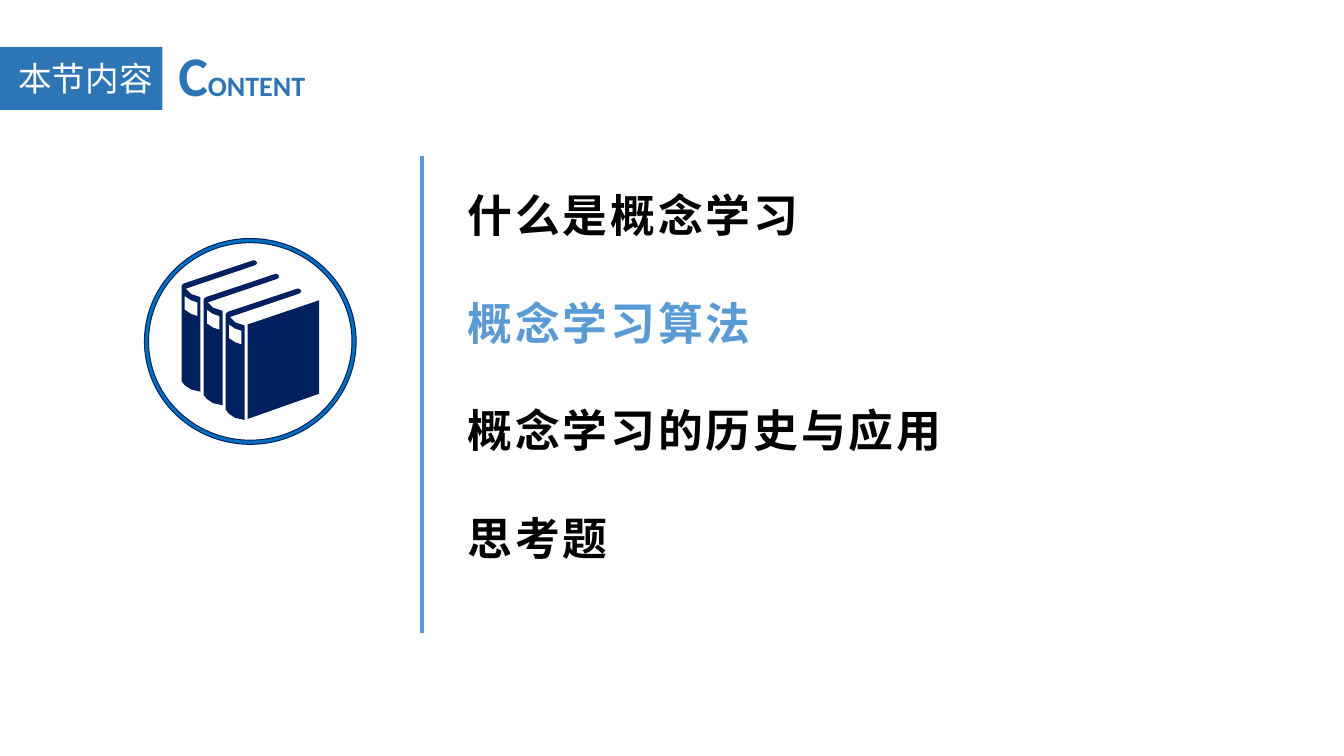
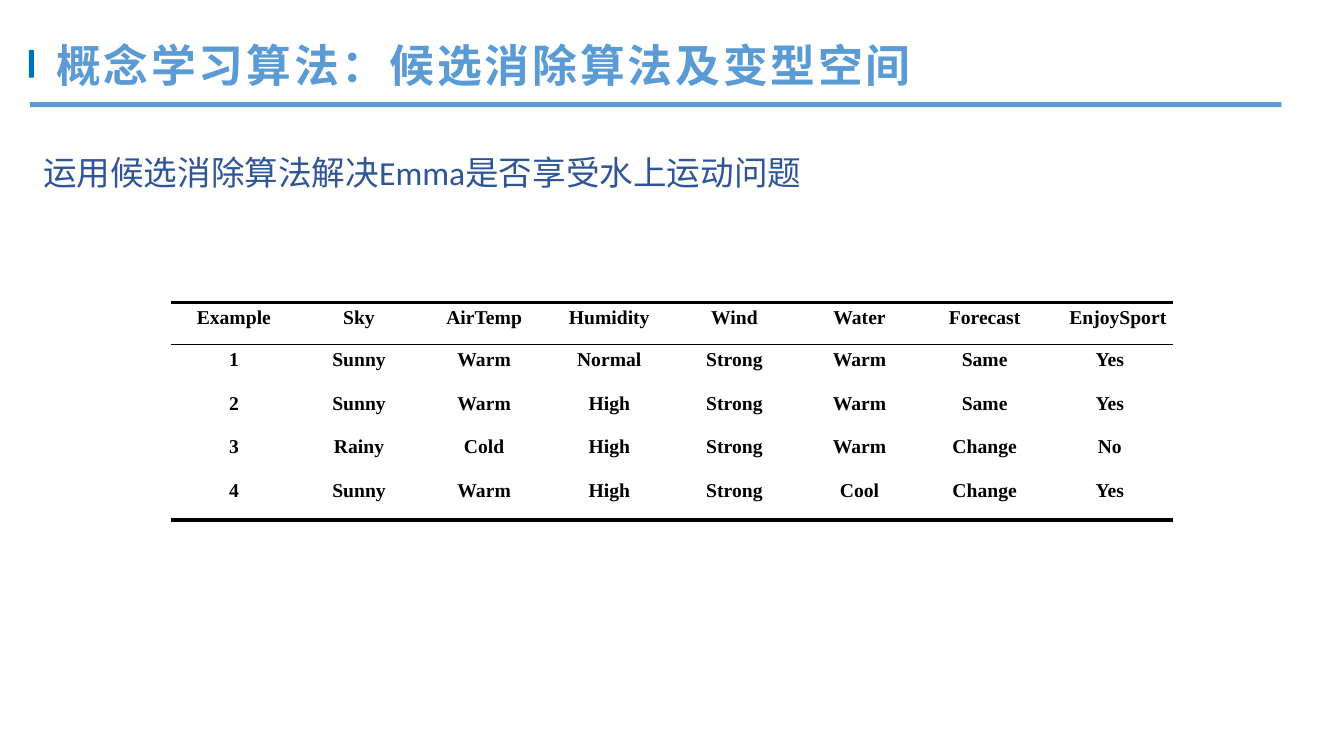
from dataclasses import dataclass

import lxml.etree
import pptx
import pptx.dml.color
import pptx.enum.shapes
import pptx.enum.text
import pptx.oxml.ns
import pptx.util

RGB = pptx.dml.color.RGBColor
SHAPE = pptx.enum.shapes.MSO_SHAPE
ALIGN = pptx.enum.text.PP_ALIGN

BLACK = RGB(0, 0, 0)
WHITE = RGB(255, 255, 255)
NAVY = RGB(0x00, 0x20, 0x60)
BRIGHT = RGB(0x00, 0x70, 0xC0)
SKY = RGB(0x5B, 0x9B, 0xD5)
TAG_BLUE = RGB(0x2E, 0x75, 0xB6)
INK_BLUE = RGB(0x2F, 0x55, 0x97)

CALIBRI = "Calibri"
NOTO = "Noto Sans CJK SC"
TIMES = "Times New Roman"

COLUMNS, ROWS = 160, 90
CELL = pptx.util.Inches(7.5) // ROWS
PIXEL = CELL // 8
LINE_RATIO = 1.22


@dataclass(frozen=True)
class Area:
    col: float
    row: float
    cols: float
    rows: float

    def emu(self) -> tuple[int, ...]:
        return tuple(round(n * CELL) for n in (self.col, self.row, self.cols, self.rows))


@dataclass(frozen=True)
class Style:
    size: float
    color: RGB
    font: str = CALIBRI
    bold: bool = False
    spacing: float = 0


@dataclass(frozen=True)
class Line:
    text: str
    style: Style


HEADING = Style(32, SKY, NOTO, True, 2)
TOPIC = Style(32, BLACK, NOTO, True, 2)
TABLE_TEXT = Style(14, BLACK, TIMES, True)

TOPICS = [
    Line("什么是概念学习", TOPIC),
    Line("概念学习算法", HEADING),
    Line("概念学习的历史与应用", TOPIC),
    Line("思考题", TOPIC),
]

SPINE = [(0, 0), (0, 91), (3, 95), (9, 99), (18, 101), (18, 11), (9, 8), (4, 3),
         (69, -19), (71, -20), (72, -22), (70, -24), (68, -24), (2, -2)]
LABEL = [(15, 16), (15, 29), (9, 27), (3, 23), (3, 10), (9, 14)]
COVER = [(63, 37), (63, 127), (131, 103), (131, 14)]
BOOKS_AT = (173, 272)
BOOK_STEP = (21, 13.5)

EXAMPLES = [
    ["Example", "Sky", "AirTemp", "Humidity", "Wind", "Water", "Forecast", "EnjoySport"],
    ["1", "Sunny", "Warm", "Normal", "Strong", "Warm", "Same", "Yes"],
    ["2", "Sunny", "Warm", "High", "Strong", "Warm", "Same", "Yes"],
    ["3", "Rainy", "Cold", "High", "Strong", "Warm", "Change", "No"],
    ["4", "Sunny", "Warm", "High", "Strong", "Cool", "Change", "Yes"],
]


def format_run(r, style: Style) -> None:
    r.font.size = pptx.util.Pt(style.size)
    r.font.bold = style.bold
    r.font.color.rgb = style.color
    r.font.name = style.font
    props = r.font._element
    ea = lxml.etree.SubElement(props, pptx.oxml.ns.qn("a:ea"))
    ea.set("typeface", NOTO)
    if style.spacing:
        props.set("spc", str(round(style.spacing * 100)))


def add_box(slide, area: Area):
    tf = slide.shapes.add_textbox(*area.emu()).text_frame
    tf.word_wrap = True
    return tf


def add_lines(slide, area: Area, lines: list[Line], gap: float = 0, align=ALIGN.LEFT) -> None:
    tf = add_box(slide, area)
    tf.text = "\n".join(line.text for line in lines)
    for i, (p, line) in enumerate(zip(tf.paragraphs, lines)):
        p.alignment = align
        p.line_spacing = pptx.util.Pt(round(line.style.size * LINE_RATIO))
        if i:
            p.space_before = pptx.util.Pt(gap)
        format_run(p.runs[0], line.style)


def paint(sp, fill: RGB, line: RGB | None = None, width: float = 0) -> None:
    sp.shadow.inherit = False
    sp.fill.solid()
    sp.fill.fore_color.rgb = fill
    if line is None:
        sp.line.fill.background()
    else:
        sp.line.color.rgb = line
        sp.line.width = pptx.util.Pt(width)


def add_bar(slide, area: Area, fill: RGB) -> None:
    paint(slide.shapes.add_shape(SHAPE.RECTANGLE, *area.emu()), fill)


def add_rule(slide, area: Area, color: RGB, width: float) -> None:
    x, y, w, h = area.emu()
    rule = slide.shapes.add_connector(
        pptx.enum.shapes.MSO_CONNECTOR.STRAIGHT, x, y, x + w, y + h)
    rule.line.color.rgb = color
    rule.line.width = pptx.util.Pt(width)
    lxml.etree.SubElement(rule._element.spPr, pptx.oxml.ns.qn("a:effectLst"))


def add_books(slide) -> None:
    ring = slide.shapes.add_shape(SHAPE.DONUT, *Area(17.2, 28.4, 25.2, 24.5).emu())
    ring.adjustments[0] = 0.02
    paint(ring, BRIGHT, NAVY, 0.75)

    outlines = [(COVER, 0)] + [(part, i) for i in range(3) for part in (SPINE, LABEL)]
    contours = [
        [(BOOKS_AT[0] + x + BOOK_STEP[0] * i, BOOKS_AT[1] + y + int(BOOK_STEP[1] * i))
         for x, y in outline]
        for outline, i in outlines
    ]
    builder = slide.shapes.build_freeform(*contours[0][0], scale=PIXEL)
    for contour in contours:
        builder.move_to(*contour[0])
        builder.add_line_segments(contour[1:], close=True)
    paint(builder.convert_to_shape(), NAVY)


def hide_borders(cell) -> None:
    for side in ("lnL", "lnR", "lnT", "lnB"):
        ln = lxml.etree.SubElement(cell._tc.get_or_add_tcPr(), pptx.oxml.ns.qn(f"a:{side}"))
        lxml.etree.SubElement(ln, pptx.oxml.ns.qn("a:noFill"))


def add_examples(slide, area: Area, header_rows: float) -> None:
    count = len(EXAMPLES)
    table = slide.shapes.add_table(count, len(EXAMPLES[0]), *area.emu()).table
    table.first_row = table.horz_banding = False
    body_rows = (area.rows - header_rows) / (count - 1)
    for i, values in enumerate(EXAMPLES):
        table.rows[i].height = round((body_rows if i else header_rows) * CELL)
        for j, value in enumerate(values):
            cell = table.cell(i, j)
            hide_borders(cell)
            cell.fill.background()
            cell.margin_top = pptx.util.Inches(0.06)
            cell.text_frame.text = value
            p = cell.text_frame.paragraphs[0]
            p.alignment = ALIGN.CENTER
            p.line_spacing = 0.9
            format_run(p.runs[0], TABLE_TEXT)
    last_header = table.cell(0, len(EXAMPLES[0]) - 1)
    last_header.margin_left = pptx.util.Inches(0.18)
    last_header.margin_right = pptx.util.Inches(0.02)
    for offset, width in ((0, 2.25), (header_rows, 1), (area.rows, 2.25)):
        add_rule(slide, Area(area.col, area.row + offset, area.cols, 0), BLACK, width)


def build_contents(slide) -> None:
    add_bar(slide, Area(0, 5.6, 19.35, 7.5), TAG_BLUE)
    add_lines(slide, Area(0.9, 6.3, 18.45, 6), [Line("本节内容", Style(24, WHITE))],
              align=ALIGN.RIGHT)
    p = add_box(slide, Area(20.05, 4.2, 33.7, 9.3)).paragraphs[0]
    for text, size in (("C", 40), ("ONTENT", 20)):
        r = p.add_run()
        r.text = text
        format_run(r, Style(size, TAG_BLUE, bold=True))
    add_rule(slide, Area(50.25, 18.55, 0, 56.85), SKY, 3)
    add_books(slide)
    add_lines(slide, Area(54.5, 21.7, 67.7, 46.4), TOPICS, gap=37.7)


def build_example(slide) -> None:
    add_bar(slide, Area(3.45, 5.95, 0.6, 3.3), BRIGHT)
    add_bar(slide, Area(3.55, 12.15, 149, 0.6), SKY)
    add_lines(slide, Area(5.5, 3.75, 113.4, 7.7),
              [Line("概念学习算法：候选消除算法及变型空间", HEADING)])
    add_lines(slide, Area(3.95, 17.5, 114.6, 6),
              [Line("运用候选消除算法解决Emma是否享受水上运动问题", Style(24, INK_BLUE))])
    add_examples(slide, Area(20.4, 36.05, 119.2, 25.85), header_rows=5)


def main() -> None:
    prs = pptx.Presentation()
    prs.slide_width = COLUMNS * CELL
    prs.slide_height = ROWS * CELL
    for build in (build_contents, build_example):
        build(prs.slides.add_slide(prs.slide_layouts[6]))
    prs.save("out.pptx")


if __name__ == "__main__":
    main()
